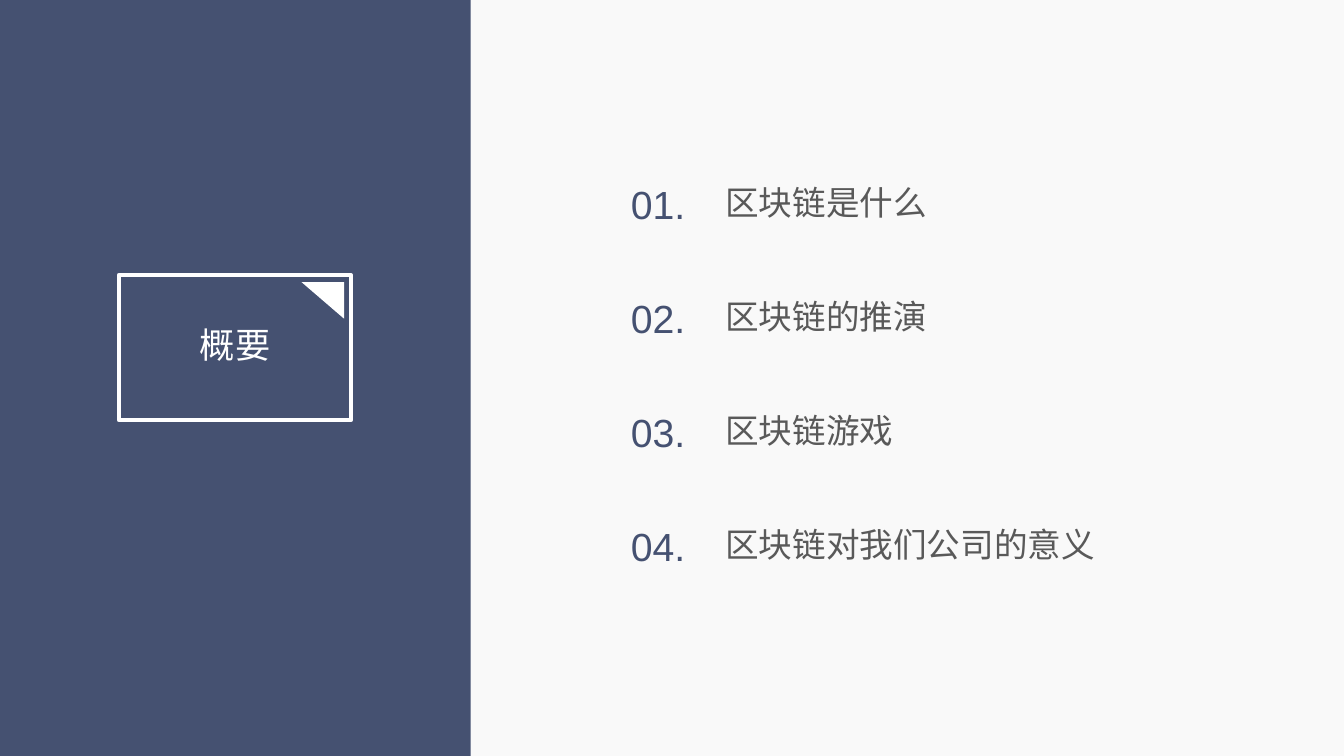
from pptx import Presentation, util as u
from pptx.dml import color
from pptx.enum import shapes, text

NAVY, WHITE, GREY, PAPER = "455171", "FFFFFF", "595959", "F9F9F9"
TOPICS = ["区块链是什么", "区块链的推演", "区块链游戏", "区块链对我们公司的意义"]
ROW_PITCH = 2.87


def rgb(value):
    return color.RGBColor.from_string(value)


def write(shape, content, size, ink, font="Arial", align=text.PP_ALIGN.LEFT):
    shape.text_frame.word_wrap = True
    paragraph = shape.text_frame.paragraphs[0]
    paragraph.alignment = align
    run = paragraph.add_run()
    run.text = content
    run.font.name = font
    run.font.size = u.Pt(size)
    run.font.color.rgb = rgb(ink)


class Deck:
    def __init__(self, width, height, background):
        self.presentation = Presentation()
        self.presentation.slide_width = u.Cm(width)
        self.presentation.slide_height = u.Cm(height)
        self.slide = self.presentation.slides.add_slide(self.presentation.slide_layouts[6])
        fill = self.slide.background.fill
        fill.solid()
        fill.fore_color.rgb = rgb(background)

    def shape(self, kind, left, top, width, height, fill=None, line=None, weight=3):
        shape = self.slide.shapes.add_shape(kind, *map(u.Cm, (left, top, width, height)))
        shape.shadow.inherit = False
        if fill:
            shape.fill.solid()
            shape.fill.fore_color.rgb = rgb(fill)
        else:
            shape.fill.background()
        if line:
            shape.line.color.rgb = rgb(line)
            shape.line.width = u.Pt(weight)
        else:
            shape.line.fill.background()
        return shape

    def label(self, content, left, top, width, height, **style):
        box = self.slide.shapes.add_textbox(*map(u.Cm, (left, top, width, height)))
        write(box, content, **style)


def main():
    deck = Deck(33.87, 19.05, PAPER)
    rectangle = shapes.MSO_SHAPE.RECTANGLE
    deck.shape(rectangle, 0, 0, 11.86, 19.05, fill=NAVY)
    deck.shape(rectangle, 3, 6.93, 5.84, 3.66, line=WHITE)
    corner = deck.shape(shapes.MSO_SHAPE.ISOSCELES_TRIANGLE, 7.6, 7.11, 1.07, 0.92, fill=WHITE)
    corner.adjustments[0] = 0
    corner.rotation = 180
    deck.label("概要", 3.35, 8.03, 5.16, 1.45, size=25.2, ink=WHITE,
               align=text.PP_ALIGN.CENTER)

    for row, topic in enumerate(TOPICS):
        offset = row * ROW_PITCH
        deck.label(f"{row + 1:02}.", 15.65, 4.42 + offset, 2.16, 1.65, size=28, ink=NAVY)
        deck.label(topic, 18.03, 4.47 + offset, 9.91, 1.45, size=24, ink=GREY)

    deck.presentation.save("out.pptx")


if __name__ == "__main__":
    main()
